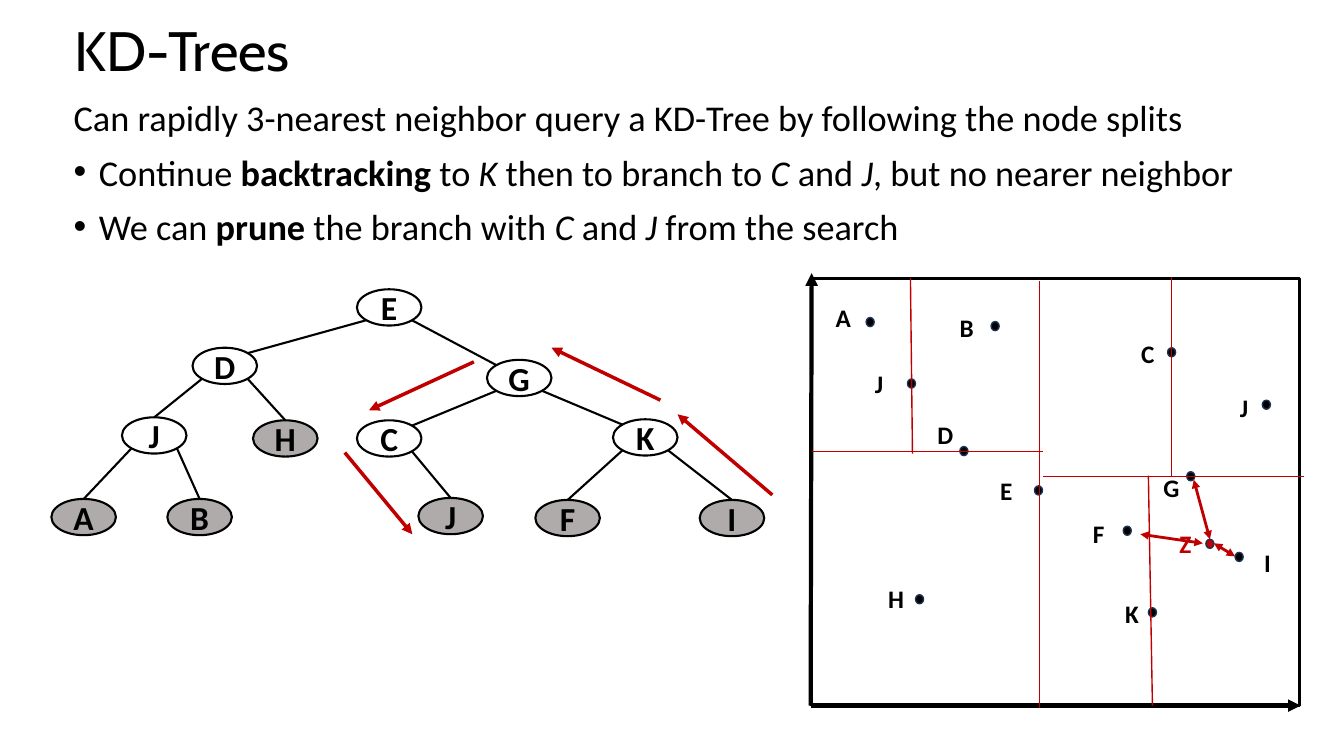
from dataclasses import dataclass

from lxml import etree
from pptx import Presentation
from pptx.dml.color import RGBColor
from pptx.enum.shapes import MSO_CONNECTOR, MSO_SHAPE
from pptx.enum.text import MSO_ANCHOR, MSO_AUTO_SIZE, PP_ALIGN
from pptx.oxml.ns import qn
from pptx.util import Inches, Pt

STRAIGHT = MSO_CONNECTOR.STRAIGHT
OVAL = MSO_SHAPE.OVAL
RECTANGLE = MSO_SHAPE.RECTANGLE
MIDDLE = MSO_ANCHOR.MIDDLE
NO_AUTOFIT = MSO_AUTO_SIZE.NONE
LEFT = PP_ALIGN.LEFT
CENTER = PP_ALIGN.CENTER


@dataclass(frozen=True)
class Theme:
    black: str = "000000"
    red: str = "C00000"
    gray: str = "AFABAB"
    navy: str = "1E3256"
    title_font: str = "Cabin"
    text_font: str = "Calibri"
    title_size: float = 39.6
    body_size: float = 25.9
    node_size: float = 24
    label_size: float = 18


THEME = Theme()

TITLE = "KD-Trees"
BODY = [
    [("Can rapidly 3-nearest neighbor query a KD-Tree by following the node splits", "")],
    [("Continue ", ""), ("backtracking", "b"), (" to ", ""), ("K", "i"),
     (" then to branch to ", ""), ("C", "i"), (" and ", ""), ("J", "i"),
     (", but no nearer neighbor", "")],
    [("We can ", ""), ("prune", "b"), (" the branch with ", ""), ("C", "i"),
     (" and ", ""), ("J", "i"), (" from the search", "")],
]

NODE_WIDTH, NODE_HEIGHT = 0.64, 0.36
TREE_NODES = {
    "E": (3.54, 2.87), "D": (1.91, 3.45), "G": (4.83, 3.57),
    "J split": (1.21, 4.14), "H": (2.51, 4.17), "C": (3.54, 4.17), "K": (6.08, 4.16),
    "A": (0.51, 4.95), "B": (1.66, 4.95), "J leaf": (4.15, 4.94),
    "F": (5.31, 4.96), "I": (6.94, 4.96),
}
CHILDREN = {
    "E": ["D", "G"], "D": ["J split", "H"], "G": ["C", "K"],
    "J split": ["A", "B"], "C": ["J leaf"], "K": ["F", "I"],
}
SEARCH_PATH = [
    ((7.66, 4.91), (6.72, 4.11)), ((6.55, 3.97), (5.47, 3.45)),
    ((4.7, 3.59), (3.66, 4.07)), ((3.42, 4.49), (4.09, 5.3)),
]

PLOT = (8.05, 2.76, 4.84, 4.24)
AXES = [((8.04, 7), (12.9, 7)), ((8.04, 7), (8.05, 2.71))]
SPLITS = [
    ((10.31, 2.79), (10.31, 7.02)), ((8.05, 4.48), (10.34, 4.48)),
    ((10.34, 4.73), (12.93, 4.73)), ((9.03, 2.76), (9.05, 4.5)),
    ((11.62, 2.75), (11.62, 4.72)), ((11.39, 4.72), (11.43, 7)),
]
DOT_WIDTH, DOT_HEIGHT = 0.08, 0.09
LABEL_WIDTH, LABEL_HEIGHT = 0.33, 0.4
POINTS = [
    ("A", (8.59, 3.15), (8.19, 2.95)), ("B", (9.83, 3.19), (9.42, 3.05)),
    ("C", (11.58, 3.45), (11.22, 3.31)), ("D", (9.52, 4.43), (9.2, 4.11)),
    ("E", (10.26, 4.82), (9.82, 4.67)), ("F", (11.14, 5.22), (10.74, 5.09)),
    ("G", (11.77, 4.68), (11.44, 4.64)), ("H", (9.08, 5.9), (8.71, 5.74)),
    ("I", (12.25, 5.48), (12.44, 5.38)), ("J", (12.52, 3.97), (12.2, 3.84)),
    ("J", (9, 3.76), (8.58, 3.61)), ("K", (11.39, 6.03), (11.06, 5.89)),
    ("Z", (11.96, 5.35), (11.6, 5.19)),
]
DISTANCES = [
    ((11.84, 4.76), (12, 5.35)), ((12.25, 5.52), (12.04, 5.39)),
    ((11.31, 5.3), (11.93, 5.39)),
]


def rgb(color):
    return RGBColor.from_string(color)


def place(shape, left, top, width, height):
    shape.left, shape.top = Inches(left), Inches(top)
    shape.width, shape.height = Inches(width), Inches(height)


def style(span, size, font=THEME.text_font, color=THEME.black, bold=False, italic=False):
    span.font.size, span.font.name = Pt(size), font
    span.font.color.rgb = rgb(color)
    span.font.bold, span.font.italic = bold, italic


def add_line(page, start, end, color, weight, arrows=()):
    line = page.shapes.add_connector(STRAIGHT, *map(Inches, start + end))
    line.line.color.rgb = rgb(color)
    line.line.width = Pt(weight)
    for arrow in arrows:
        etree.SubElement(line.line._get_or_add_ln(), qn(f"a:{arrow}"), type="triangle")
    etree.SubElement(line._element.spPr, qn("a:effectLst"))


def add_outline(page, kind, bounds, weight, color=THEME.black, fill=None):
    shape = page.shapes.add_shape(kind, *map(Inches, bounds))
    shape.shadow.inherit = False
    shape.line.color.rgb = rgb(color)
    shape.line.width = Pt(weight)
    if fill:
        shape.fill.solid()
        shape.fill.fore_color.rgb = rgb(fill)
    else:
        shape.fill.background()
    return shape


def add_text(page):
    title = page.shapes.title
    place(title, 0.64, 0.24, 11.5, 0.58)
    frame = title.text_frame
    frame.text = TITLE
    frame.auto_size, frame.vertical_anchor = NO_AUTOFIT, MIDDLE
    para = frame.paragraphs[0]
    para.alignment, para.line_spacing = LEFT, 0.9
    style(para.runs[0], THEME.title_size, THEME.title_font)

    body = page.placeholders[1]
    place(body, 0.63, 0.98, 11.98, 1.63)
    frame = body.text_frame
    frame.auto_size = NO_AUTOFIT
    for index, parts in enumerate(BODY):
        para = frame.add_paragraph() if index else frame.paragraphs[0]
        para.line_spacing, para.space_before = 0.8, Pt(14 if index else 0)
        props = para._p.get_or_add_pPr()
        indent = Inches(0.25) if index else 0
        props.set("marL", str(indent))
        props.set("indent", str(-indent))
        if index:
            etree.SubElement(props, qn("a:buFont"), typeface="Arial")
            etree.SubElement(props, qn("a:buChar"), char="•")
        else:
            etree.SubElement(props, qn("a:buNone"))
        for text, emphasis in parts:
            span = para.add_run()
            span.text = text
            style(span, THEME.body_size, bold=emphasis == "b", italic=emphasis == "i")


def add_tree(page):
    reach_x, reach_y = NODE_WIDTH * 0.35, NODE_HEIGHT * 0.35
    centers = {name: (left + NODE_WIDTH / 2, top + NODE_HEIGHT / 2)
               for name, (left, top) in TREE_NODES.items()}
    for parent, children in CHILDREN.items():
        x, y = centers[parent]
        for child in children:
            child_x, child_y = centers[child]
            side = 1 if child_x > x else -1
            end = (child_x, child_y - NODE_HEIGHT / 2)
            if abs(child_x - x) > 1:
                end = (child_x - side * reach_x, child_y - reach_y)
            add_line(page, (x + side * reach_x, y + reach_y), end, THEME.black, 1.5)

    for name, corner in TREE_NODES.items():
        fill = None if name in CHILDREN else THEME.gray
        node = add_outline(page, OVAL, corner + (NODE_WIDTH, NODE_HEIGHT), 1.5, fill=fill)
        frame = node.text_frame
        frame.margin_left = frame.margin_right = frame.margin_top = frame.margin_bottom = 0
        frame.vertical_anchor = MIDDLE
        frame.text = name[0]
        frame.paragraphs[0].alignment = CENTER
        style(frame.paragraphs[0].runs[0], THEME.node_size, bold=True)

    for start, end in SEARCH_PATH:
        add_line(page, start, end, THEME.red, 2.5, ["tailEnd"])


def add_plot(page):
    add_outline(page, RECTANGLE, PLOT, 2)
    for start, end in AXES:
        add_line(page, start, end, THEME.black, 3, ["tailEnd"])
    for name, dot, corner in POINTS:
        color = THEME.red if name == "Z" else THEME.black
        add_outline(page, OVAL, dot + (DOT_WIDTH, DOT_HEIGHT), 1, THEME.navy, color)
        box = page.shapes.add_textbox(*map(Inches, corner + (LABEL_WIDTH, LABEL_HEIGHT)))
        box.text_frame.word_wrap = True
        box.text_frame.text = name
        style(box.text_frame.paragraphs[0].runs[0], THEME.label_size, color=color, bold=True)
    for start, end in SPLITS:
        add_line(page, start, end, THEME.red, 1)
    for start, end in DISTANCES:
        add_line(page, start, end, THEME.red, 2, ["headEnd", "tailEnd"])


def main():
    deck = Presentation()
    deck.slide_width, deck.slide_height = Inches(13.33), Inches(7.5)
    page = deck.slides.add_slide(deck.slide_layouts[1])
    add_text(page)
    add_plot(page)
    add_tree(page)
    deck.save("out.pptx")


if __name__ == "__main__":
    main()
